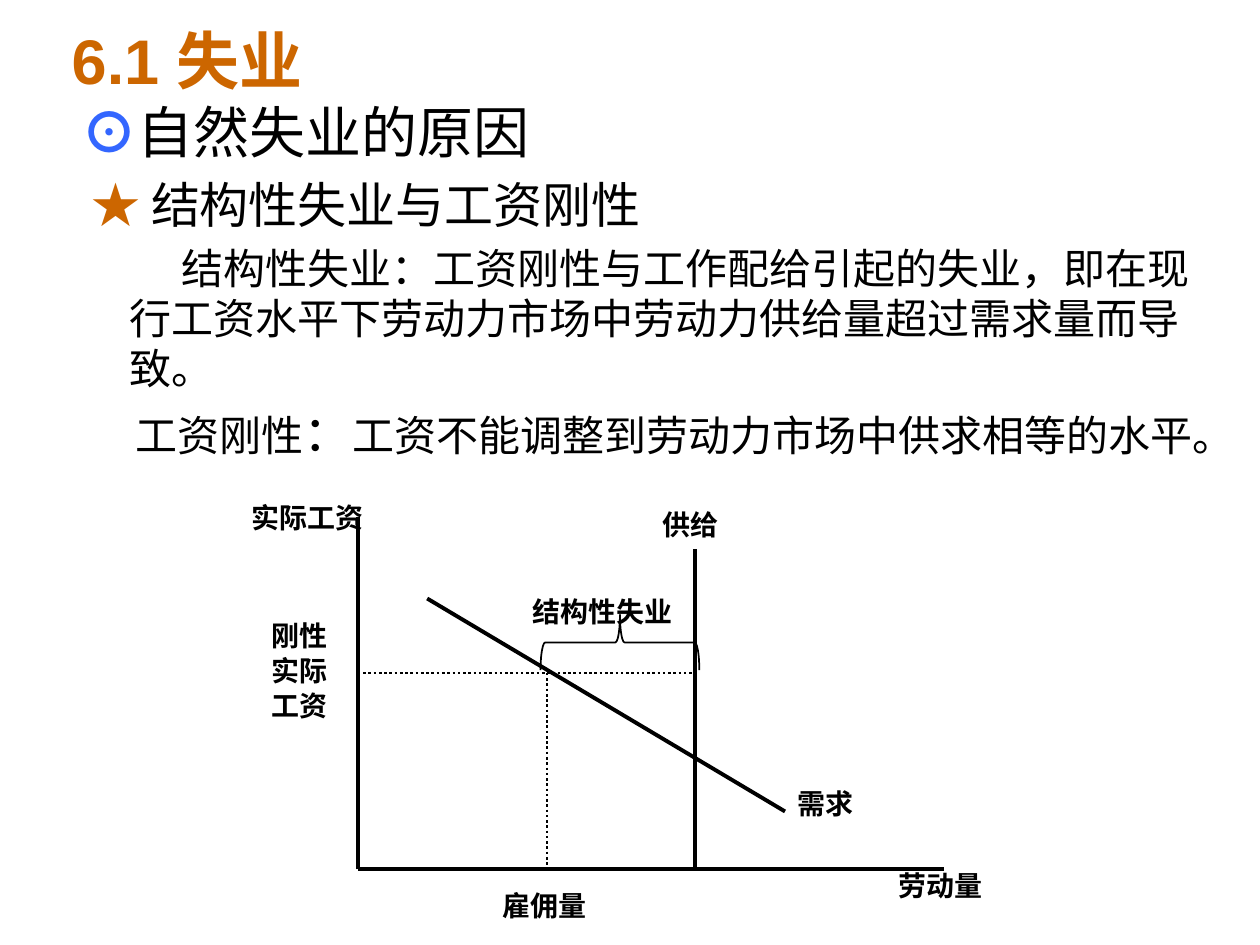
from lxml import etree
from pptx import Presentation
from pptx.dml.color import RGBColor
from pptx.enum.dml import MSO_LINE
from pptx.enum.shapes import MSO_CONNECTOR, MSO_SHAPE
from pptx.enum.text import MSO_ANCHOR, MSO_AUTO_SIZE, PP_ALIGN
from pptx.oxml.ns import qn
from pptx.util import Pt

STRAIGHT = MSO_CONNECTOR.STRAIGHT
BRACE = MSO_SHAPE.LEFT_BRACE
DOTTED = MSO_LINE.ROUND_DOT
NO_FIT = MSO_AUTO_SIZE.NONE
MIDDLE, TOP = MSO_ANCHOR.MIDDLE, MSO_ANCHOR.TOP
LEFT = PP_ALIGN.LEFT

BLACK = RGBColor(0, 0, 0)
ORANGE = RGBColor(0xCC, 0x66, 0x00)
BLUE = RGBColor(0x33, 0x66, 0xFF)
ARIAL = "Arial"
NOTO = "Noto Sans CJK SC"

AXIS_X, AXIS_TOP, AXIS_RIGHT = 204.5, 295.2, 539.3
BASE_Y = 496.8
SUPPLY_X = 397.4
WAGE_Y = 384.5
HIRED_X = 312.5

BODY = [
    (41.4, -27.4, [("⊙", 32, NOTO, BLUE, True),
                   ("自然失业的原因", 32, NOTO, BLACK, False)]),
    (34, -22, [("★ ", 28, NOTO, ORANGE, False),
               ("结构性失业与工资刚性", 28, NOTO, BLACK, False)]),
    (28.6, 29.5, [("结构性失业：工资刚性与工作配给引起的失业，即在现行工资水平下"
                   "劳动力市场中劳动力供给量超过需求量而导致。",
                   24, ARIAL, BLACK, False)]),
    (34, 3.5, [("工资刚性", 24, NOTO, BLACK, False),
               ("：", 28, NOTO, BLACK, False),
               ("工资不能调整到劳动力市场中供求相等的水平。", 24, NOTO, BLACK, False)]),
]

LABELS = [
    (297.4, 335.5, 104.4, ["结构性失业"]),
    (148.3, 349.2, 47, ["刚性", "实际", "工资"]),
    (136.8, 281.5, 93, ["实际工资"]),
    (506.2, 491.8, 63.5, ["劳动量"]),
    (448.6, 445, 47, ["需求"]),
    (371.5, 285.8, 47, ["供给"]),
    (280.1, 503.3, 63.5, ["雇佣量"]),
]


def apply(target, values):
    for name, value in values.items():
        setattr(target, name, value)


def add_run(p, text, size, name, color, bold):
    r = p.add_run()
    r.text = text
    apply(r.font, {"size": Pt(size), "name": name, "bold": bold})
    r.font.color.rgb = color
    ea = etree.SubElement(r.font._element, qn("a:ea"))
    ea.set("typeface", NOTO)


def add_title(s, text):
    sp = s.shapes.title
    apply(sp, {"left": Pt(33.8), "top": Pt(11.5),
               "width": Pt(648), "height": Pt(44.6)})
    tf = sp.text_frame
    apply(tf, {"auto_size": NO_FIT, "vertical_anchor": MIDDLE, "word_wrap": True})
    p = tf.paragraphs[0]
    p.alignment = LEFT
    add_run(p, text, 36, ARIAL, ORANGE, True)


def add_text_box(s, left, top, width, height):
    sp = s.shapes.add_textbox(Pt(left), Pt(top), Pt(width), Pt(height))
    tf = sp.text_frame
    apply(tf, {"auto_size": NO_FIT, "vertical_anchor": TOP, "word_wrap": True})
    return tf


def next_paragraph(tf, index):
    return tf.add_paragraph() if index else tf.paragraphs[0]


def add_body(s, paragraphs):
    tf = add_text_box(s, 39.6, 49, 663.8, 298.8)
    for i, (spacing, indent, runs) in enumerate(paragraphs):
        p = next_paragraph(tf, i)
        apply(p, {"line_spacing": Pt(spacing), "alignment": LEFT})
        if i:
            p.space_before = Pt(5.3)
        pPr = p._p.get_or_add_pPr()
        pPr.set("marL", str(Pt(27.4)))
        pPr.set("indent", str(Pt(indent)))
        for run in runs:
            add_run(p, *run)


def add_label(s, left, top, width, lines):
    tf = add_text_box(s, left, top, width, 7.2 + 20 * len(lines))
    for i, text in enumerate(lines):
        p = next_paragraph(tf, i)
        apply(p, {"line_spacing": Pt(20), "alignment": LEFT})
        add_run(p, text, 16, ARIAL, BLACK, True)


def add_line(s, x1, y1, x2, y2, width=2.25, dash=None):
    c = s.shapes.add_connector(STRAIGHT, Pt(x1), Pt(y1), Pt(x2), Pt(y2))
    c.line.color.rgb = BLACK
    apply(c.line, {"width": Pt(width), "dash_style": dash})
    etree.SubElement(c._element.spPr, qn("a:effectLst"))


def add_brace(s, left, top, width, height):
    sp = s.shapes.add_shape(BRACE, Pt(left), Pt(top), Pt(width), Pt(height))
    sp.rotation = 90
    sp.shadow.inherit = False
    sp.fill.background()
    sp.line.color.rgb = BLACK
    sp.line.width = Pt(1)


def add_diagram(s):
    add_line(s, AXIS_X, BASE_Y, AXIS_X, AXIS_TOP)
    add_line(s, AXIS_X, BASE_Y, AXIS_RIGHT, BASE_Y)
    add_line(s, 244.1, 342, 448.6, 463.7)
    add_line(s, SUPPLY_X, 313.9, SUPPLY_X, BASE_Y)
    add_line(s, AXIS_X, WAGE_Y, SUPPLY_X, WAGE_Y, 1.5, DOTTED)
    add_line(s, HIRED_X, WAGE_Y, HIRED_X, BASE_Y, 1.5, DOTTED)
    for label in LABELS:
        add_label(s, *label)
    add_brace(s, 338.4, 321.8, 31.7, 90.7)


def main():
    prs = Presentation()
    apply(prs, {"slide_width": Pt(720), "slide_height": Pt(540)})
    s = prs.slides.add_slide(prs.slide_layouts[5])
    add_title(s, "6.1 失业")
    add_body(s, BODY)
    add_diagram(s)
    prs.save("out.pptx")


if __name__ == "__main__":
    main()
